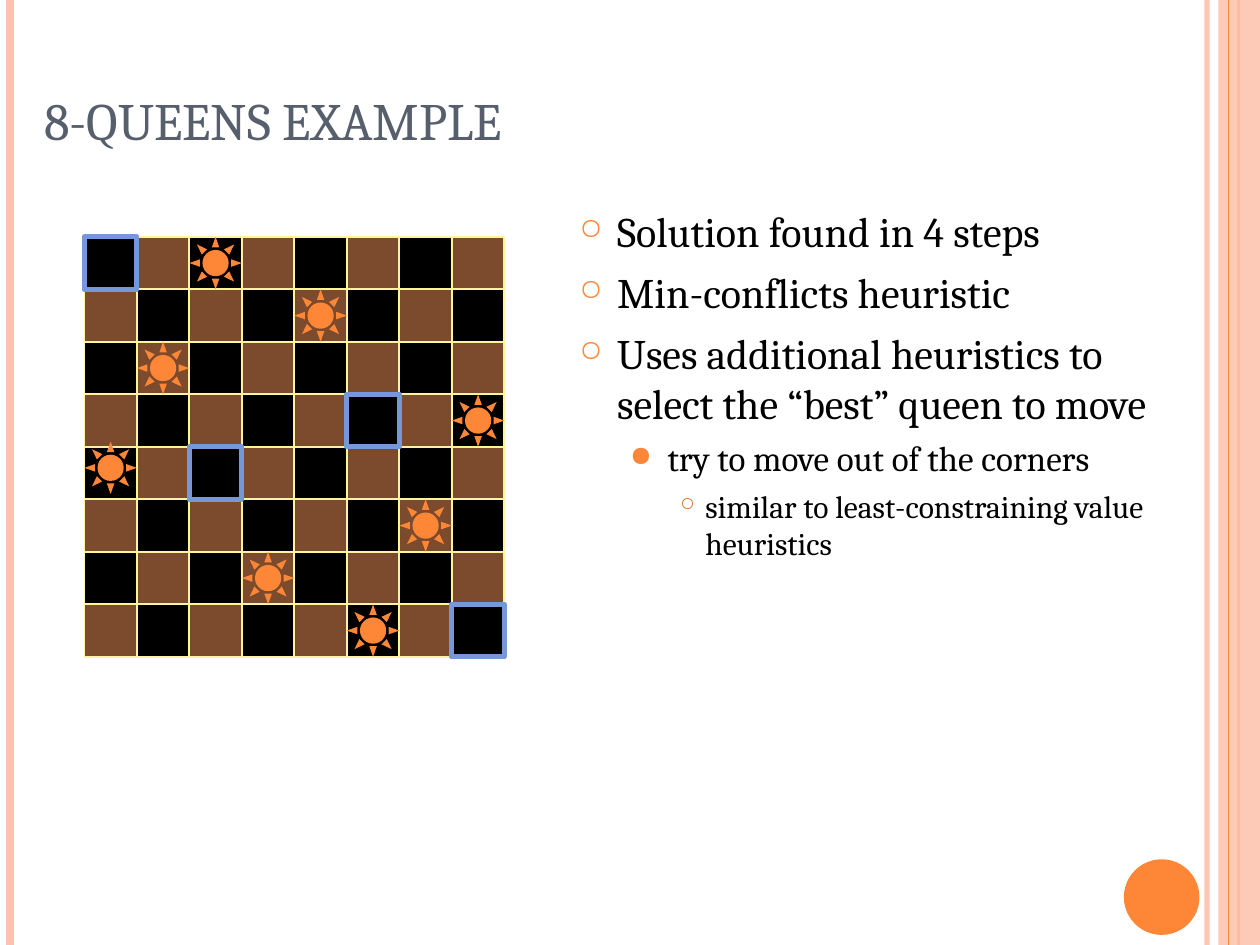
from dataclasses import dataclass
from itertools import product
from typing import Optional

from lxml.etree import SubElement
from pptx import Presentation
from pptx.dml.color import RGBColor
from pptx.enum.shapes import MSO_CONNECTOR, MSO_SHAPE
from pptx.enum.text import MSO_ANCHOR, PP_ALIGN
from pptx.oxml.ns import qn
from pptx.util import Inches, Pt


@dataclass(frozen=True)
class Theme:
    """Colours, font and type sizes of the slide."""
    font: str = "Cambria"
    title: str = "575F6D"
    text: str = "000000"
    accent: str = "FE8637"
    deep_accent: str = "E0752F"
    band: str = "FEC3AE"
    dark_square: str = "000000"
    light_square: str = "7C4A2C"
    grid: str = "FFF39D"
    marker: str = "7598D9"
    title_size: float = 30
    level_sizes: tuple = (24, 20, 18)


@dataclass(frozen=True)
class Stripe:
    """A vertical line over the full slide height."""
    x: float
    color: str
    width: float
    opacity: int = 100


@dataclass(frozen=True)
class BulletStyle:
    """Bullet mark and indents of one outline level."""
    mark: str
    color: str
    percent: int
    left: float
    hanging: float
    space_before: float


@dataclass(frozen=True)
class Point:
    """One bullet of the outline."""
    text: str
    level: int = 0


@dataclass(frozen=True)
class Place:
    """A position on the board, counted in squares."""
    column: float
    row: float


THEME = Theme()
WIDTH, HEIGHT = 10, 7.5
BOARD_LEFT, BOARD_TOP, SQUARE, COUNT = 0.67, 1.88, 5 / 12, 8

STRIPES = (
    Stripe(9.58, THEME.band, 3, 93),
    Stripe(0.08, THEME.band, 4.5),
    Stripe(9.83, THEME.accent, 1.5),
)
INNER_STRIPE = Stripe(9.75, THEME.accent, 0.75)
STYLES = (
    BulletStyle("○", THEME.accent, 70, 0.3, 0.3, 6),
    BulletStyle("●", THEME.accent, 80, 0.7, 0.3, 5),
    BulletStyle("○", THEME.deep_accent, 60, 1, 0.2, 4.5),
)
POINTS = (
    Point("Solution found in 4 steps"),
    Point("Min-conflicts heuristic"),
    Point("Uses additional heuristics to select the “best” queen to move"),
    Point("try to move out of the corners", 1),
    Point("similar to least-constraining value heuristics", 2),
)
QUEENS = (
    Place(0, 3.9), Place(1, 2), Place(2, 0), Place(3, 6),
    Place(4, 1), Place(5, 7), Place(6, 5), Place(7, 3),
)
MARKED = (Place(0, 0), Place(2, 4), Place(5, 3), Place(7, 7))


def set_opacity(element, percent: int) -> None:
    """Make the solid colour under an element partly transparent."""
    color = next(element.iter(qn("a:srgbClr")))
    SubElement(color, qn("a:alpha"), val=str(percent * 1000))


def add_stripe(page, stripe: Stripe) -> None:
    """Draw one vertical stripe."""
    x = Inches(stripe.x)
    line = page.shapes.add_connector(MSO_CONNECTOR.STRAIGHT, x, 0, x, Inches(HEIGHT))
    line.line.color.rgb = RGBColor.from_string(stripe.color)
    line.line.width = Pt(stripe.width)
    properties = line._element.spPr
    if stripe.opacity < 100:
        set_opacity(properties, stripe.opacity)
    SubElement(properties, qn("a:effectLst"))


def add_figure(page, kind: MSO_SHAPE, left: float, top: float, width: float, height: float,
               fill: Optional[str] = None, outline: Optional[str] = None,
               outline_width: float = 1):
    """Draw a preset shape with optional fill and outline."""
    figure = page.shapes.add_shape(kind, Inches(left), Inches(top), Inches(width), Inches(height))
    figure.shadow.inherit = False
    if fill:
        figure.fill.solid()
        figure.fill.fore_color.rgb = RGBColor.from_string(fill)
    else:
        figure.fill.background()
    if outline:
        figure.line.color.rgb = RGBColor.from_string(outline)
        figure.line.width = Pt(outline_width)
    else:
        figure.line.fill.background()
    return figure


def add_on_board(page, kind: MSO_SHAPE, place: Place, **look) -> None:
    """Draw a figure of one square's size on the board."""
    left = BOARD_LEFT + place.column * SQUARE
    top = BOARD_TOP + place.row * SQUARE
    add_figure(page, kind, left, top, SQUARE, SQUARE, **look)


def add_span(para, text: str, size: float, color: str) -> None:
    """Append one formatted run."""
    span = para.add_run()
    span.text = text
    span.font.name = THEME.font
    span.font.size = Pt(size)
    span.font.color.rgb = RGBColor.from_string(color)


def add_frame(page) -> None:
    """Draw the stripes, side band and corner disc."""
    for stripe in STRIPES:
        add_stripe(page, stripe)
    band = add_figure(page, MSO_SHAPE.RECTANGLE, 9.67, 0, 0.33, HEIGHT, THEME.band)
    set_opacity(band._element.spPr, 87)
    add_stripe(page, INNER_STRIPE)
    add_figure(page, MSO_SHAPE.OVAL, 8.92, 6.82, 0.6, 0.6, THEME.accent)


def add_title(page, text: str) -> None:
    """Place and fill the title."""
    title = page.shapes.title
    title.left, title.top = Inches(0.25), Inches(0.37)
    title.width, title.height = Inches(9.42), Inches(0.88)
    title.text_frame.vertical_anchor = MSO_ANCHOR.BOTTOM
    para = title.text_frame.paragraphs[0]
    para.alignment = PP_ALIGN.LEFT
    add_span(para, text, THEME.title_size, THEME.title)


def add_points(page) -> None:
    """Write the bulleted outline."""
    box = page.shapes.add_textbox(Inches(4.5), Inches(1.58), Inches(4.75), Inches(5.08))
    frame = box.text_frame
    frame.word_wrap = True
    for index, point in enumerate(POINTS):
        style = STYLES[point.level]
        para = frame.add_paragraph() if index else frame.paragraphs[0]
        para.level = point.level
        properties = para._p.get_or_add_pPr()
        properties.set("marL", str(Inches(style.left)))
        properties.set("indent", str(-Inches(style.hanging)))
        color = SubElement(properties, qn("a:buClr"))
        SubElement(color, qn("a:srgbClr"), val=style.color)
        SubElement(properties, qn("a:buSzPct"), val=str(style.percent * 1000))
        SubElement(properties, qn("a:buChar"), char=style.mark)
        para.space_before = Pt(style.space_before if index else 0)
        add_span(para, point.text, THEME.level_sizes[point.level], THEME.text)


def add_board(page) -> None:
    """Draw the squares, the queens and the marked squares."""
    for column, row in product(range(COUNT), repeat=2):
        fill = THEME.light_square if (column + row) % 2 else THEME.dark_square
        add_on_board(page, MSO_SHAPE.RECTANGLE, Place(column, row), fill=fill, outline=THEME.grid)
    for queen in QUEENS:
        add_on_board(page, MSO_SHAPE.SUN, queen, fill=THEME.accent)
    for place in MARKED:
        add_on_board(page, MSO_SHAPE.RECTANGLE, place, outline=THEME.marker, outline_width=3)


def main() -> None:
    """Build and save the deck."""
    deck = Presentation()
    deck.slide_width, deck.slide_height = Inches(WIDTH), Inches(HEIGHT)
    page = deck.slides.add_slide(deck.slide_layouts[5])
    add_frame(page)
    add_title(page, "8-QUEENS EXAMPLE")
    add_points(page)
    add_board(page)
    deck.save("out.pptx")


if __name__ == "__main__":
    main()
